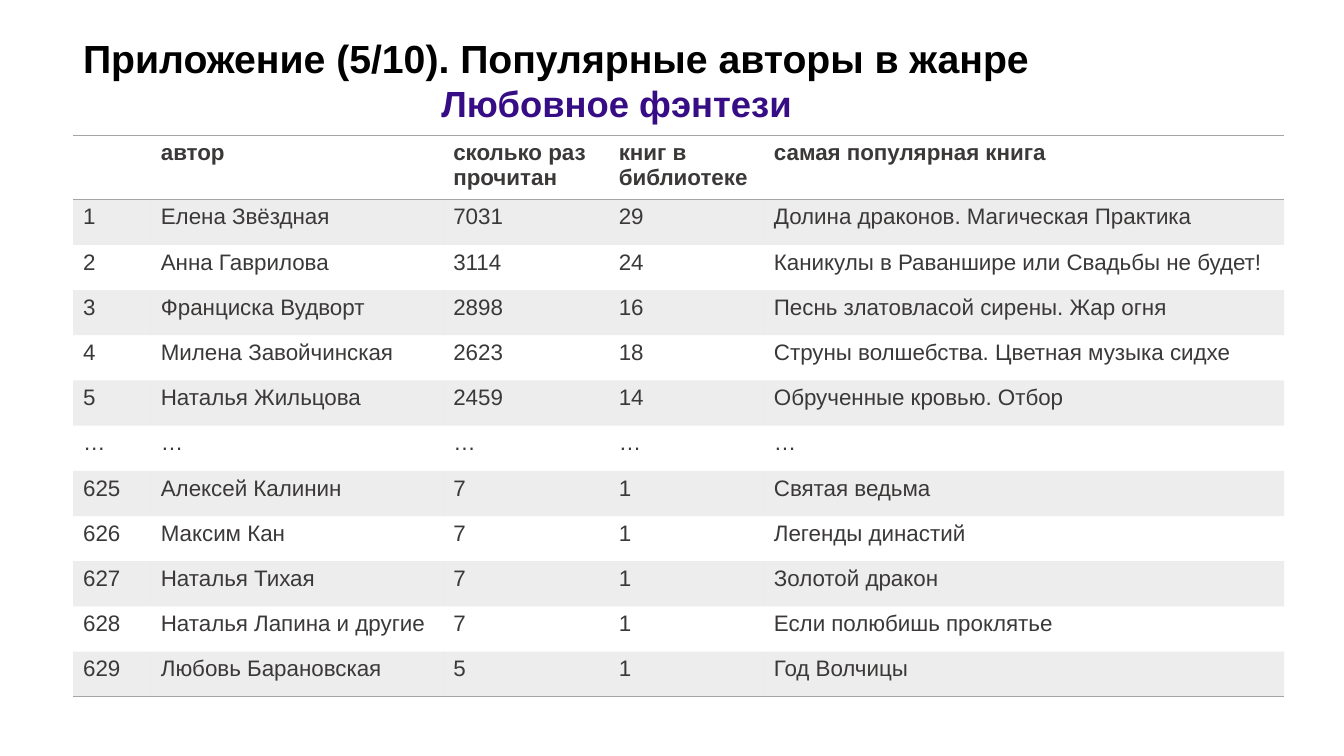
from pptx import Presentation
from pptx.dml.color import RGBColor
from pptx.enum.text import MSO_ANCHOR, MSO_AUTO_SIZE, PP_ALIGN
from pptx.oxml import parse_xml
from pptx.oxml.ns import nsdecls, qn
from pptx.util import Cm, Pt

BLACK = RGBColor(0x00, 0x00, 0x00)
VIOLET = RGBColor(0x37, 0x0D, 0x86)
DARK = RGBColor(0x3B, 0x38, 0x38)
GRAY = RGBColor(0xA5, 0xA5, 0xA5)
PLAIN = "{2D5ABB26-0587-4C30-8999-92F81FD0307C}"

WIDTHS = [1.96, 7.37, 4.17, 3.91, 13.11]
TALL, LOW = 1.62, 1.14
ROWS = [
    ("", "автор", "сколько раз прочитан", "книг в библиотеке", "самая популярная книга"),
    ("1", "Елена Звёздная", "7031", "29", "Долина драконов. Магическая Практика"),
    ("2", "Анна Гаврилова", "3114", "24", "Каникулы в Раваншире или Свадьбы не будет!"),
    ("3", "Франциска Вудворт", "2898", "16", "Песнь златовласой сирены. Жар огня"),
    ("4", "Милена Завойчинская", "2623", "18", "Струны волшебства. Цветная музыка сидхе"),
    ("5", "Наталья Жильцова", "2459", "14", "Обрученные кровью. Отбор"),
    ("…",) * 5,
    ("625", "Алексей Калинин", "7", "1", "Святая ведьма"),
    ("626", "Максим Кан", "7", "1", "Легенды династий"),
    ("627", "Наталья Тихая", "7", "1", "Золотой дракон"),
    ("628", "Наталья Лапина и другие", "7", "1", "Если полюбишь проклятье"),
    ("629", "Любовь Барановская", "5", "1", "Год Волчицы"),
]


class Deck:
    """Holds the style and the current slide, and draws its elements."""

    def __init__(self):
        self.show = Presentation()
        self.show.slide_width, self.show.slide_height = Cm(33.87), Cm(19.05)
        self.slide = self.show.slides.add_slide(self.show.slide_layouts[5])
        self.style = {"name": "Arial", "size": Pt(16), "bold": False}

    def label(self, para, text, color, **extra):
        run = para.add_run()
        run.text = text
        for key, value in {**self.style, **extra}.items():
            setattr(run.font, key, value)
        run.font.color.rgb = color

    def title(self, box, lines):
        shape = self.slide.shapes.title
        for key, value in zip(("left", "top", "width", "height"), box):
            setattr(shape, key, Cm(value))
        frame = shape.text_frame
        look = {"word_wrap": True, "auto_size": MSO_AUTO_SIZE.NONE,
                "vertical_anchor": MSO_ANCHOR.TOP}
        for key, value in look.items():
            setattr(frame, key, value)
        for i, (text, size, color, indent) in enumerate(lines):
            para = frame.add_paragraph() if i else frame.paragraphs[0]
            para.alignment = PP_ALIGN.LEFT
            para._p.get_or_add_pPr().set("marL", str(Cm(indent)))
            self.label(para, text, color, size=Pt(size), bold=True)

    def rule(self, cell, side):
        cell._tc.get_or_add_tcPr().append(parse_xml(
            f'<a:{side} {nsdecls("a")} w="{Pt(1)}"><a:solidFill>'
            f'<a:srgbClr val="{GRAY}"/></a:solidFill></a:{side}>'))

    def shade(self, cell):
        cell.fill.solid()
        cell.fill.fore_color.rgb = GRAY
        tint = cell._tc.tcPr.find(qn("a:solidFill"))[0]
        tint.append(parse_xml(f'<a:alpha {nsdecls("a")} val="20000"/>'))

    def table(self, left, top, rows):
        last = len(rows) - 1
        frame = self.slide.shapes.add_table(
            len(rows), len(WIDTHS), Cm(left), Cm(top),
            Cm(sum(WIDTHS)), Cm(TALL + LOW * last))
        grid = frame.table
        grid.first_row = grid.horz_banding = False
        grid._tbl.tblPr.find(qn("a:tableStyleId")).text = PLAIN
        for col, width in zip(grid.columns, WIDTHS):
            col.width = Cm(width)
        for r, texts in enumerate(rows):
            grid.rows[r].height = Cm(LOW if r else TALL)
            for c, text in enumerate(texts):
                cell = grid.cell(r, c)
                if text:
                    self.label(cell.text_frame.paragraphs[0], text, DARK, bold=r == 0)
                if r == 0:
                    self.rule(cell, "lnT")
                if r in (0, last):
                    self.rule(cell, "lnB")
                if r % 2:
                    self.shade(cell)
                else:
                    cell.fill.background()


def main():
    deck = Deck()
    deck.title((1.84, 0.74, 25.35, 2.64), [
        ("Приложение (5/10). Популярные авторы в жанре", 28, BLACK, 0),
        ("Любовное фэнтези", 26, VIOLET, 9.03),
    ])
    deck.table(1.84, 3.41, ROWS)
    deck.show.save("out.pptx")


if __name__ == "__main__":
    main()
